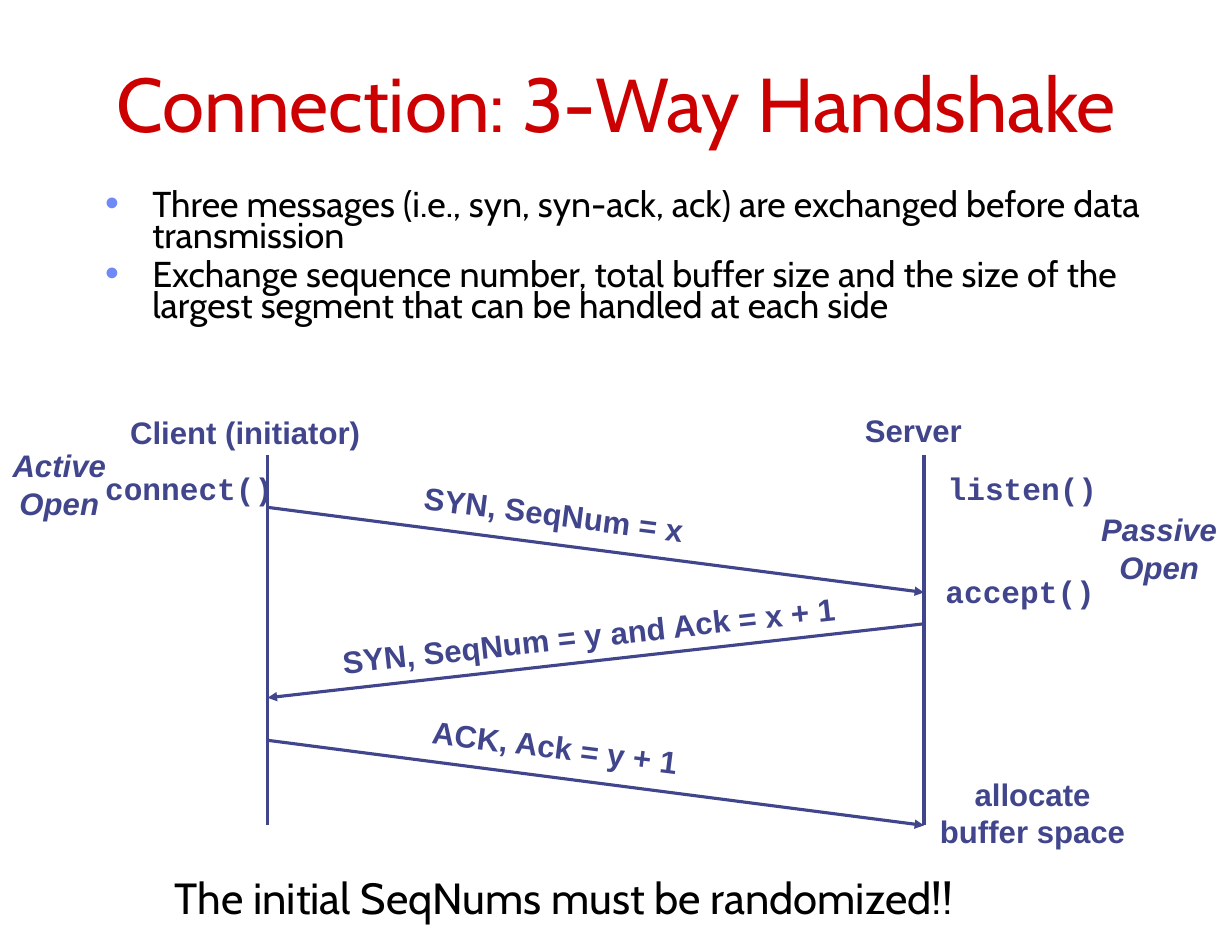
from dataclasses import dataclass

from lxml.etree import SubElement
from pptx import Presentation
from pptx.dml.color import RGBColor
from pptx.enum.shapes import MSO_CONNECTOR
from pptx.enum.text import MSO_ANCHOR, MSO_AUTO_SIZE, PP_ALIGN
from pptx.oxml.ns import qn
from pptx.slide import Slide
from pptx.text.text import _Paragraph as Paragraph
from pptx.util import Inches, Pt

COLORS = {"title": "CC0000", "body": "000000", "diagram": "40458C", "bullet": "6F89F7"}
CLIENT_X, SERVER_X = 2.39, 8.25
LIFELINE_TOP, LIFELINE_BOTTOM = 4.06, 7.37


@dataclass(frozen=True)
class Label:
    text: str
    left: float
    top: float
    width: float
    height: float = 0.44
    font: str = "Arial"
    size: float = 20
    color: str = "diagram"
    bold: bool = True
    italic: bool = False
    rotation: float = 0
    align: PP_ALIGN = PP_ALIGN.CENTER
    anchor: MSO_ANCHOR = MSO_ANCHOR.TOP
    wrap: bool = False
    inset: float = 0.05


@dataclass(frozen=True)
class Message:
    start: tuple[float, float]
    end: tuple[float, float]
    label: Label


TITLE = Label("Connection: 3-Way Handshake", 0, 0.42, 11, 0.96, "Cabin", 49, "title",
              bold=False, anchor=MSO_ANCHOR.BOTTOM, wrap=True, inset=0.06)
BODY = Label(
    "Three messages (i.e., syn, syn-ack, ack) are exchanged before data transmission\n"
    "Exchange sequence number, total buffer size and the size of the largest segment "
    "that can be handled at each side",
    0.83, 1.67, 9.5, 1.67, "Cabin", 23.1, "body",
    bold=False, align=PP_ALIGN.LEFT, wrap=True, inset=0.06)
LABELS = [
    Label("Client (initiator)", 1.05, 3.64, 2.28),
    Label("Server", 7.61, 3.62, 1.09),
    Label("Active\vOpen", 0, 3.94, 1.06, 0.78, italic=True),
    Label("Passive\vOpen", 9.72, 4.51, 1.26, 0.78, italic=True),
    Label("connect()", 0.79, 4.14, 1.8, font="Courier New"),
    Label("listen()", 8.35, 4.14, 1.56, font="Courier New"),
    Label("accept()", 8.33, 5.06, 1.56, font="Courier New"),
    Label("allocate\vbuffer space", 8.28, 6.87, 1.88, 0.78),
    Label("The initial SeqNums must be randomized!!", 1.45, 7.73, 7.92, 0.57, "Cabin", 28,
          "body", bold=False, align=PP_ALIGN.LEFT, wrap=True),
]
MESSAGES = [
    Message((CLIENT_X, 4.53), (SERVER_X, 5.29),
            Label("SYN, SeqNum = x", 3.67, 4.37, 2.55, rotation=7.2)),
    Message((SERVER_X, 5.57), (CLIENT_X, 6.23),
            Label("SYN, SeqNum = y and Ack = x + 1", 2.93, 5.45, 4.65, rotation=-6.3)),
    Message((CLIENT_X, 6.61), (SERVER_X, LIFELINE_BOTTOM),
            Label("ACK, Ack = y + 1", 3.74, 6.45, 2.43, rotation=7.2)),
]


def add_label(slide: Slide, label: Label) -> list[Paragraph]:
    """Draw a text box and return its paragraphs."""
    shape = slide.shapes.add_textbox(Inches(label.left), Inches(label.top),
                                     Inches(label.width), Inches(label.height))
    shape.rotation = label.rotation
    text_frame = shape.text_frame
    text_frame.text = label.text
    text_frame.word_wrap = label.wrap
    text_frame.auto_size = MSO_AUTO_SIZE.NONE if label.wrap else MSO_AUTO_SIZE.SHAPE_TO_FIT_TEXT
    text_frame.vertical_anchor = label.anchor
    text_frame.margin_left = text_frame.margin_right = Inches(0.11)
    text_frame.margin_top = text_frame.margin_bottom = Inches(label.inset)
    for paragraph in text_frame.paragraphs:
        paragraph.alignment = label.align
        for run in paragraph.runs:
            run.font.name = label.font
            run.font.size = Pt(label.size)
            run.font.bold = label.bold
            run.font.italic = label.italic
            run.font.color.rgb = RGBColor.from_string(COLORS[label.color])
    return list(text_frame.paragraphs)


def add_bullet(paragraph: Paragraph) -> None:
    """Give a paragraph a coloured bullet with a hanging indent."""
    properties = paragraph._p.get_or_add_pPr()
    properties.set("marL", str(Inches(0.42)))
    properties.set("indent", str(Inches(-0.42)))
    color = SubElement(properties, qn("a:buClr"))
    SubElement(color, qn("a:srgbClr"), val=COLORS["bullet"])
    SubElement(properties, qn("a:buSzPct"), val="110000")
    SubElement(properties, qn("a:buFont"), typeface="Arial")
    SubElement(properties, qn("a:buChar"), char="•")


def add_line(slide: Slide, start: tuple[float, float], end: tuple[float, float],
             arrow: bool = False) -> None:
    """Draw a straight line, with an arrowhead at its end if asked."""
    connector = slide.shapes.add_connector(MSO_CONNECTOR.STRAIGHT,
                                           *map(Inches, start), *map(Inches, end))
    connector.line.color.rgb = RGBColor.from_string(COLORS["diagram"])
    connector.line.width = Pt(2)
    if arrow:
        SubElement(connector.line._get_or_add_ln(), qn("a:tailEnd"), type="triangle")
    SubElement(connector._element.spPr, qn("a:effectLst"))


def main() -> None:
    """Build the handshake slide and save it."""
    presentation = Presentation()
    presentation.slide_width, presentation.slide_height = Inches(11), Inches(8.5)
    slide = presentation.slides.add_slide(presentation.slide_layouts[6])
    add_label(slide, TITLE)
    for index, paragraph in enumerate(add_label(slide, BODY)):
        paragraph.line_spacing = 0.7
        paragraph.space_before = Pt(6.2 if index else 0)
        add_bullet(paragraph)
    for x in (CLIENT_X, SERVER_X):
        add_line(slide, (x, LIFELINE_TOP), (x, LIFELINE_BOTTOM))
    for message in MESSAGES:
        add_line(slide, message.start, message.end, arrow=True)
        add_label(slide, message.label)
    for label in LABELS:
        add_label(slide, label)
    presentation.save("out.pptx")


if __name__ == "__main__":
    main()
